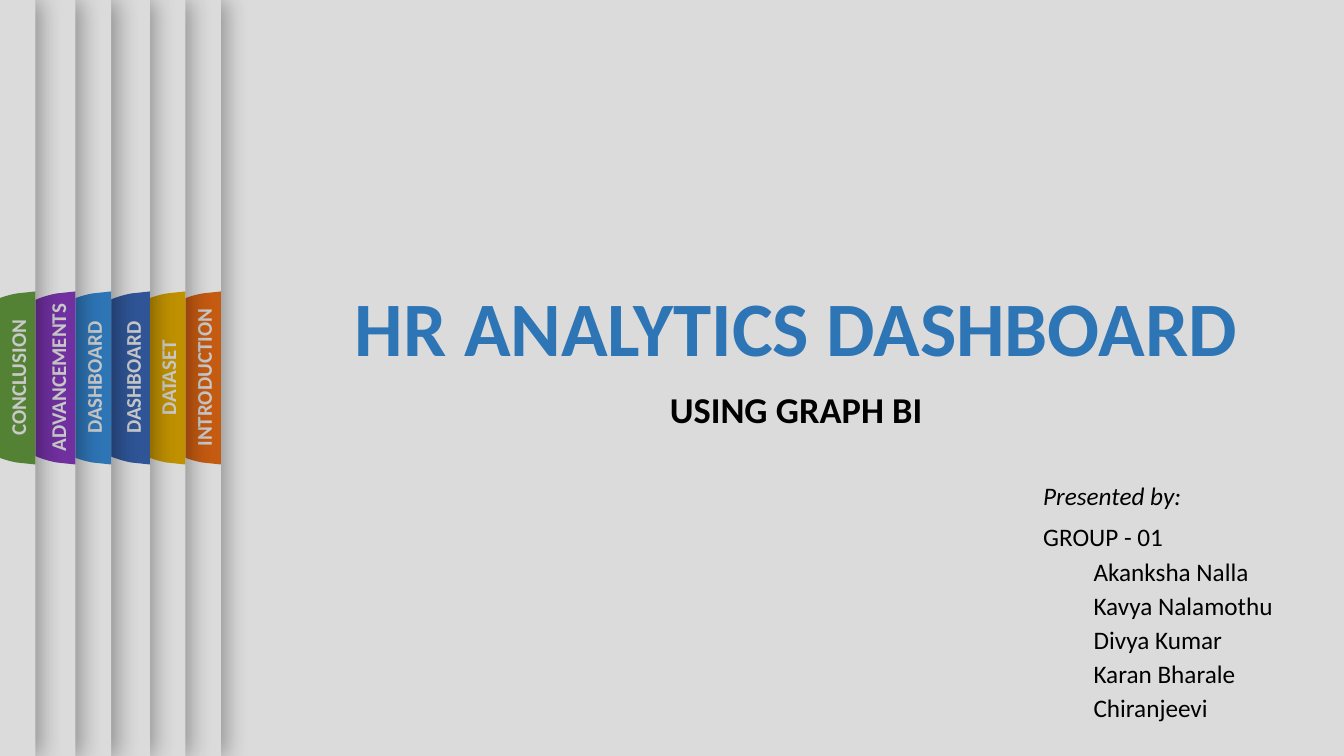
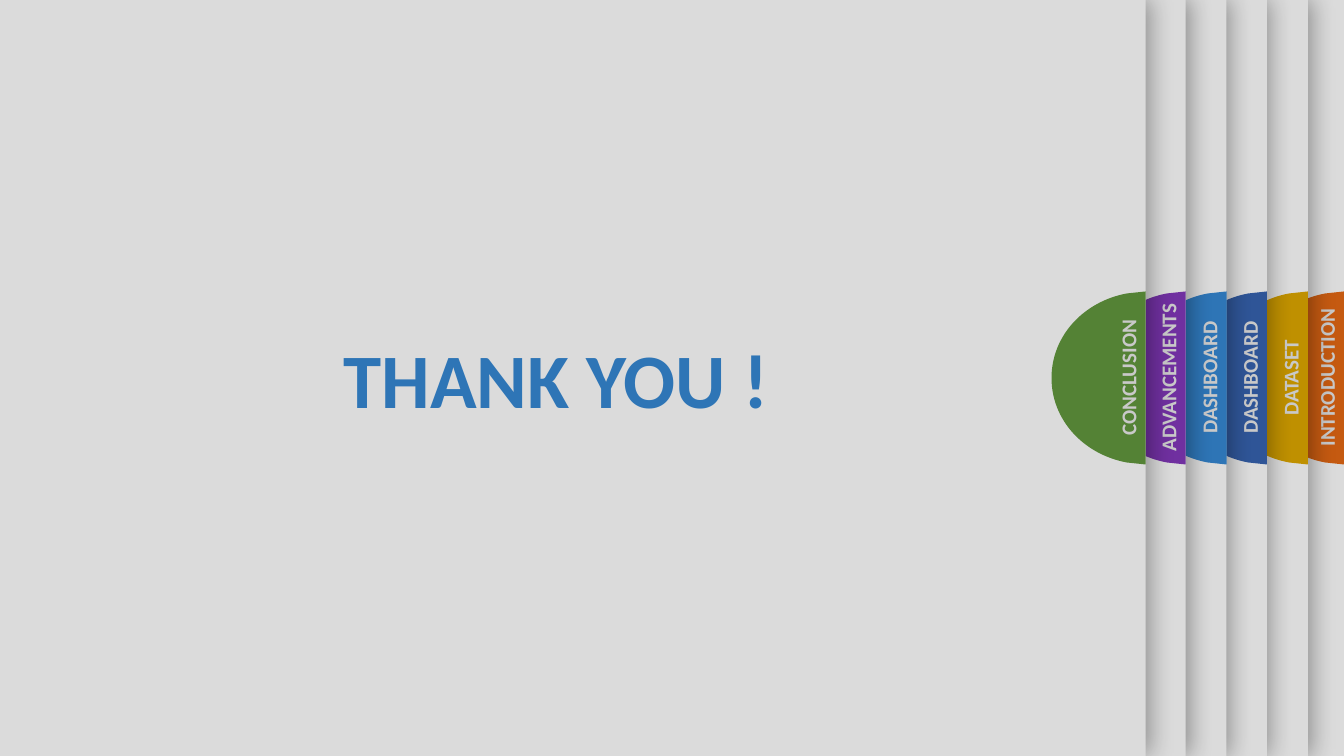
from lxml.etree import SubElement
from pptx import Presentation
from pptx.dml.color import RGBColor
from pptx.enum.shapes import MSO_SHAPE
from pptx.enum.text import MSO_ANCHOR, PP_ALIGN
from pptx.oxml.ns import qn
from pptx.util import Cm, Pt

# Shared style
GREY = RGBColor(0xDB, 0xDB, 0xDB)
LABEL = RGBColor(0xC9, 0xC9, 0xC9)
BLACK = RGBColor(0, 0, 0)
BLUE = RGBColor(0x2E, 0x75, 0xB6)
ORANGE = RGBColor(0xC5, 0x5A, 0x11)
GOLD = RGBColor(0xBF, 0x90, 0x00)
NAVY = RGBColor(0x2F, 0x55, 0x97)
PURPLE = RGBColor(0x70, 0x30, 0xA0)
GREEN = RGBColor(0x54, 0x82, 0x35)
FONT = "Calibri"
WIDTH, HEIGHT = 33.87, 19.05
MIDDLE = HEIGHT / 2

# Tab text, colour and label width, from back to front
TABS = [
    ("INTRODUCTION", ORANGE, 4.09),
    ("DATASET", GOLD, 4.09),
    ("DASHBOARD", NAVY, 4.09),
    ("DASHBOARD", BLUE, 4.09),
    ("ADVANCEMENTS", PURPLE, 4.37),
    ("CONCLUSION", GREEN, 4.09),
]
# Lower half of a tab outline: distance left of the edge, distance below the middle
TAB_CURVE = [(0, 2.18), (0.47, 2.13), (1.55, 1.93), (2.37, 1.07)]

# Right edges of the panels
OPENING_EDGES = [5.57, 4.67, 3.78, 2.8, 1.9, 0.89]
CLOSING_EDGES = [33.87, 32.96, 31.93, 30.91, 29.88, 28.87]


class Deck:
    def __init__(self):
        self.prs = Presentation()
        self.prs.slide_width, self.prs.slide_height = Cm(WIDTH), Cm(HEIGHT)
        self.s = None

    def slide(self, edges):
        self.s = self.prs.slides.add_slide(self.prs.slide_layouts[6])
        fill = self.s.background.fill
        fill.solid()
        fill.fore_color.rgb = GREY
        for edge, tab in zip(edges, TABS):
            self.panel(edge, *tab)

    def panel(self, edge, text, color, label_width):
        shapes = self.s.shapes.add_group_shape().shapes
        sheet = shapes.add_shape(MSO_SHAPE.RECTANGLE, Cm(edge - WIDTH), 0,
                                 Cm(WIDTH), Cm(HEIGHT))
        self.paint(sheet, GREY)
        self.cast_shadow(sheet)
        self.paint(self.tab(shapes, edge), color)
        label = self.text([text], edge - 0.44 - label_width / 2, 9.07,
                          label_width, 0.89, 15, LABEL, bold=True,
                          align=PP_ALIGN.CENTER, shapes=shapes)
        label.rotation = 270

    def tab(self, shapes, edge):
        lower = [(Cm(edge - x), Cm(MIDDLE + y)) for x, y in TAB_CURVE]
        upper = [(Cm(edge - x), Cm(MIDDLE - y)) for x, y in reversed(TAB_CURVE)]
        tip = (Cm(edge - TAB_CURVE[-1][0]), Cm(MIDDLE))
        builder = shapes.build_freeform(*upper[-1])
        builder.add_line_segments(lower + [tip] + upper[:-1], close=True)
        sp = builder.convert_to_shape()
        # Turn the six points after the two straight edges into two curves
        lines = list(sp.element.iter(qn("a:lnTo")))
        for first in (2, 5):
            curve, *others = lines[first:first + 3]
            curve.tag = qn("a:cubicBezTo")
            for line in others:
                curve.append(line[0])
                line.getparent().remove(line)
        return sp

    def paint(self, sp, color):
        sp.fill.solid()
        sp.fill.fore_color.rgb = color
        sp.line.fill.background()
        sp.shadow.inherit = False

    def cast_shadow(self, sp):
        effects = sp.element.spPr.find(qn("a:effectLst"))
        shadow = SubElement(effects, qn("a:outerShdw"), blurRad=str(Pt(17)),
                            dist=str(Pt(3)), dir="0", algn="l", rotWithShape="0")
        color = SubElement(shadow, qn("a:srgbClr"), val=str(BLACK))
        SubElement(color, qn("a:alpha"), val="35000")

    def text(self, lines, x, y, w, h, size, color, bold=False,
             align=PP_ALIGN.LEFT, spacing=1.0, before=0, shapes=None):
        box = (shapes or self.s.shapes).add_textbox(Cm(x), Cm(y), Cm(w), Cm(h))
        tf = box.text_frame
        tf.word_wrap = True
        tf.text = "\n".join(lines)
        for p in tf.paragraphs:
            p.alignment = align
            p.line_spacing = spacing
            p.space_before = Pt(before)
            for r in p.runs:
                r.font.name, r.font.size, r.font.bold = FONT, Pt(size), bold
                r.font.color.rgb = color
        return box

    def title(self, text, x, y, w, h, **style):
        return self.text([text], x, y, w, h, 55, BLUE, bold=True, **style)

    def presenters(self, heading, group, names):
        box = self.text([heading, group, *names], 26.04, 12.07, 6.76, 6.45,
                        18, BLACK, spacing=0.9, before=10)
        paragraphs = box.text_frame.paragraphs
        paragraphs[0].runs[0].font.italic = True
        for p in paragraphs[2:]:
            p.space_before = Pt(5)
            p._p.get_or_add_pPr().set("marL", str(Cm(1.27)))


def main():
    deck = Deck()

    # Opening slide
    deck.slide(OPENING_EDGES)
    title = deck.title("HR ANALYTICS DASHBOARD", 7.37, 2.9, 25.4, 6.63,
                       align=PP_ALIGN.CENTER, spacing=0.9)
    title.text_frame.vertical_anchor = MSO_ANCHOR.BOTTOM
    deck.text(["USING GRAPH BI"], 7.37, 9.75, 25.4, 1.83, 26, BLACK, bold=True,
              align=PP_ALIGN.CENTER, spacing=0.9, before=10)
    deck.presenters("Presented by:", "GROUP - 01",
                    ["Akanksha Nalla", "Kavya Nalamothu", "Divya Kumar",
                     "Karan Bharale", "Chiranjeevi"])

    # Closing slide
    deck.slide(CLOSING_EDGES)
    deck.title("THANK YOU !", 8.41, 8.23, 13.41, 2.62)

    deck.prs.save("out.pptx")


if __name__ == "__main__":
    main()
